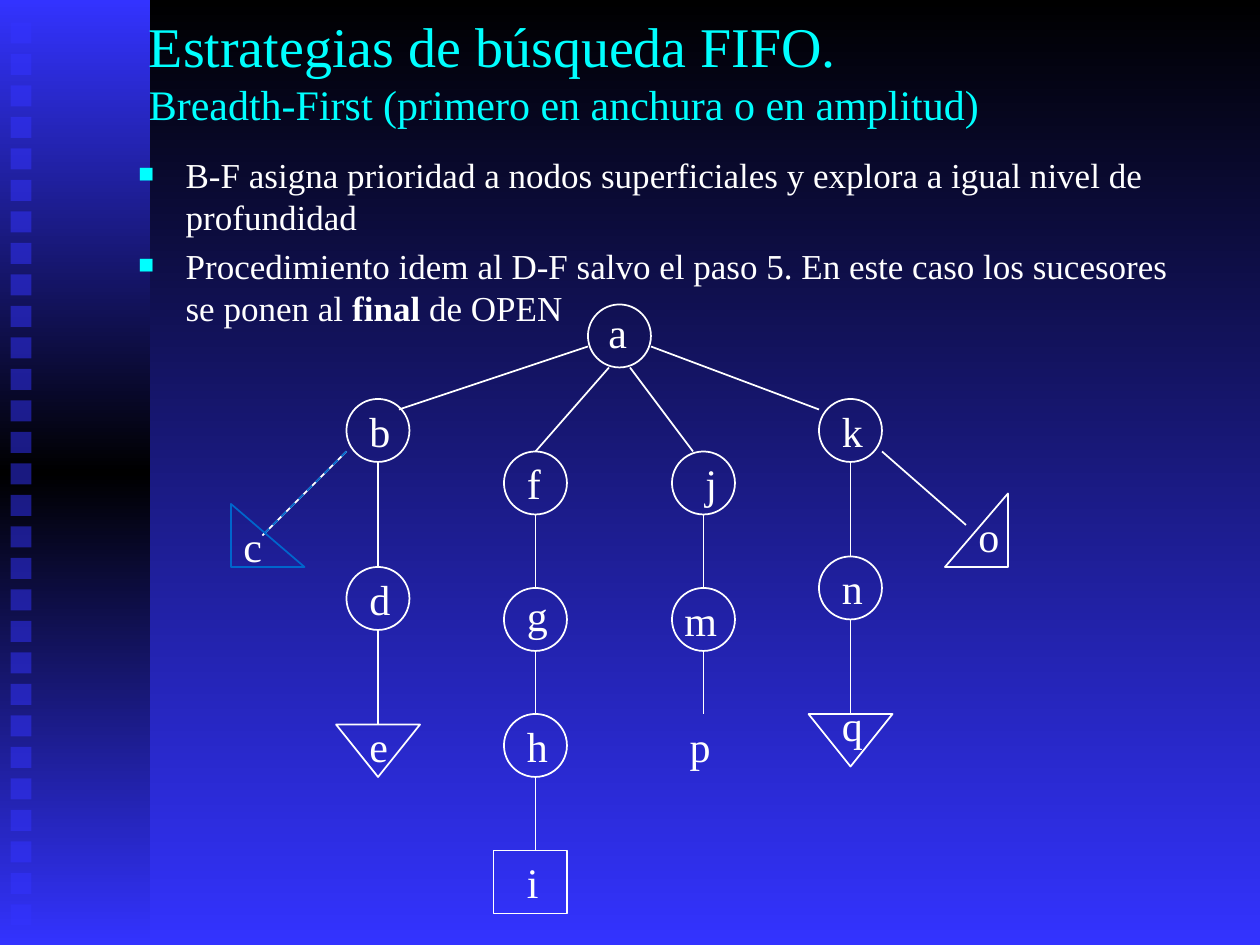
from lxml.etree import SubElement
from pptx import Presentation
from pptx.dml.color import RGBColor
from pptx.enum.dml import MSO_LINE
from pptx.enum.shapes import MSO_CONNECTOR, MSO_SHAPE
from pptx.enum.text import MSO_ANCHOR
from pptx.oxml.ns import qn
from pptx.util import Pt

FONT = "Times New Roman"
COLORS = {
    "black": "000000",
    "blue": "3333FF",
    "cyan": "00FFFF",
    "white": "FFFFFF",
    "steel": "0066CC",
}

# Tree: left and top of each circle, then of each label
CIRCLE_SIZE = 36
CIRCLES = [
    (336, 174), (198, 228), (468, 228), (288, 258), (384, 258),
    (198, 324), (468, 318), (288, 336), (384, 336), (288, 408),
]
LABELS = {
    "a": (340.5, 171.5), "b": (204, 228), "c": (132, 294), "d": (204, 324),
    "e": (204, 408), "f": (294, 258), "g": (294, 333.5), "h": (294, 408),
    "i": (294, 486), "j": (396, 258), "k": (474, 228), "m": (384, 336),
    "n": (474, 318), "o": (552, 288), "p": (387, 408), "q": (474, 396),
}
C_BRANCH = (198, 258, 150, 306)
BRANCHES = [
    (336, 198, 228, 234), (348, 210, 306, 258),
    (360, 210, 396, 258), (372, 198, 468, 234),
    C_BRANCH, (504, 258, 552, 300),
]
# Vertical edges: x, then top and bottom of each piece
COLUMNS = {
    216: [(264, 324), (360, 414)],
    306: [(294, 336), (372, 408), (444, 486)],
    402: [(294, 336), (372, 408)],
    486: [(264, 318), (354, 408)],
}


def color(name):
    return RGBColor.from_string(COLORS[name])


def set_gradient(fill, element, names):
    """Fill from top to bottom with evenly spaced colours."""
    fill.gradient()
    fill.gradient_angle = 270
    stop_list = element.xpath(".//a:gsLst")[0]
    for stop in list(stop_list):
        stop_list.remove(stop)
    for index, name in enumerate(names):
        position = 100000 * index // (len(names) - 1)
        stop = SubElement(stop_list, qn("a:gs"), pos=str(position))
        SubElement(stop, qn("a:srgbClr"), val=COLORS[name])


def add_shape(slide, kind, left, top, width, height, line=None, rotation=0):
    shape = slide.shapes.add_shape(kind, Pt(left), Pt(top), Pt(width), Pt(height))
    shape.shadow.inherit = False
    shape.rotation = rotation
    shape.fill.background()
    if line:
        shape.line.color.rgb = color(line)
        shape.line.width = Pt(1)
    else:
        shape.line.fill.background()
    return shape


def add_line(slide, x1, y1, x2, y2, line="white"):
    connector = slide.shapes.add_connector(
        MSO_CONNECTOR.STRAIGHT, Pt(x1), Pt(y1), Pt(x2), Pt(y2))
    connector.line.color.rgb = color(line)
    connector.line.width = Pt(1)
    SubElement(connector._element.spPr, qn("a:effectLst"))
    return connector


def add_text_box(slide, left, top, width, height, wrap=True):
    box = slide.shapes.add_textbox(Pt(left), Pt(top), Pt(width), Pt(height))
    box.text_frame.word_wrap = wrap
    return box.text_frame


def format_run(run, size, name="white"):
    run.font.name = FONT
    run.font.size = Pt(size)
    run.font.color.rgb = color(name)


def add_label(slide, text, left, top):
    text_frame = add_text_box(slide, left, top, 26, 36, wrap=False)
    text_frame.text = text
    format_run(text_frame.paragraphs[0].runs[0], 24)


def add_bullet(paragraph):
    properties = paragraph._p.get_or_add_pPr()
    properties.set("marL", str(Pt(27)))
    properties.set("indent", str(Pt(-27)))
    bullet_color = SubElement(properties, qn("a:buClr"))
    SubElement(bullet_color, qn("a:srgbClr"), val=COLORS["cyan"])
    SubElement(properties, qn("a:buSzPct"), val="75000")
    SubElement(properties, qn("a:buFont"), typeface=FONT)
    SubElement(properties, qn("a:buChar"), char="■")


def add_sidebar(slide):
    bar = add_shape(slide, MSO_SHAPE.RECTANGLE, 0, 0, 85.7, 540)
    set_gradient(bar.fill, bar._element, ["blue", "black", "blue"])
    for index in range(29):
        square = add_shape(slide, MSO_SHAPE.RECTANGLE, 6, 12.8 + 18 * index, 12, 12)
        square.fill.solid()
        square.fill.fore_color.rgb = color("blue")
        fill_color = square._element.xpath("./p:spPr/a:solidFill/a:srgbClr")[0]
        SubElement(fill_color, qn("a:alpha"), val="50000")


def add_title(slide):
    text_frame = add_text_box(slide, 78, 18, 612, 72)
    text_frame.vertical_anchor = MSO_ANCHOR.MIDDLE
    text_frame.margin_bottom = Pt(31.2)
    text_frame.text = ("Estrategias de búsqueda FIFO.\v"
                       "Breadth-First (primero en anchura o en amplitud)")
    for run, size in zip(text_frame.paragraphs[0].runs, (32, 24)):
        format_run(run, size, "cyan")


def add_body(slide):
    bullets = [
        ["B-F asigna prioridad a nodos superficiales y explora a igual nivel "
         "de profundidad"],
        ["Procedimiento idem al D-F salvo el paso 5. En este caso los sucesores "
         "se ponen al ", "final", " de OPEN"],
    ]
    text_frame = add_text_box(slide, 72, 84, 612, 108)
    for index, parts in enumerate(bullets):
        paragraph = text_frame.add_paragraph() if index else text_frame.paragraphs[0]
        add_bullet(paragraph)
        if index:
            paragraph.space_before = Pt(4)
        for part in parts:
            run = paragraph.add_run()
            run.text = part
            format_run(run, 20)
            run.font.bold = part == "final"


def add_tree(slide):
    # Edges
    for branch in BRANCHES:
        add_line(slide, *branch)
    for x, pieces in COLUMNS.items():
        for top, bottom in pieces:
            add_line(slide, x, top, x, bottom)
    add_line(slide, *C_BRANCH, line="steel").line.dash_style = MSO_LINE.DASH

    # Inner nodes
    for left, top in CIRCLES:
        add_shape(slide, MSO_SHAPE.OVAL, left, top, CIRCLE_SIZE, CIRCLE_SIZE, "white")

    # Leaves
    add_shape(slide, MSO_SHAPE.RIGHT_TRIANGLE, 132, 288, 42, 36, "steel")
    add_shape(slide, MSO_SHAPE.RIGHT_TRIANGLE, 537, 285, 42, 36, "white", 270)
    for left, top in ((192, 414), (462, 408)):
        add_shape(slide, MSO_SHAPE.ISOSCELES_TRIANGLE, left, top, 48, 30, "white", 180)
    add_shape(slide, MSO_SHAPE.RECTANGLE, 282, 486, 42, 36, "white")

    # Letters
    for text, (left, top) in LABELS.items():
        add_label(slide, text, left, top)


def main():
    presentation = Presentation()
    presentation.slide_width, presentation.slide_height = Pt(720), Pt(540)
    slide = presentation.slides.add_slide(presentation.slide_layouts[6])
    set_gradient(slide.background.fill, slide._element, ["black", "blue"])
    add_sidebar(slide)
    add_title(slide)
    add_body(slide)
    add_tree(slide)
    presentation.save("out.pptx")


if __name__ == "__main__":
    main()
